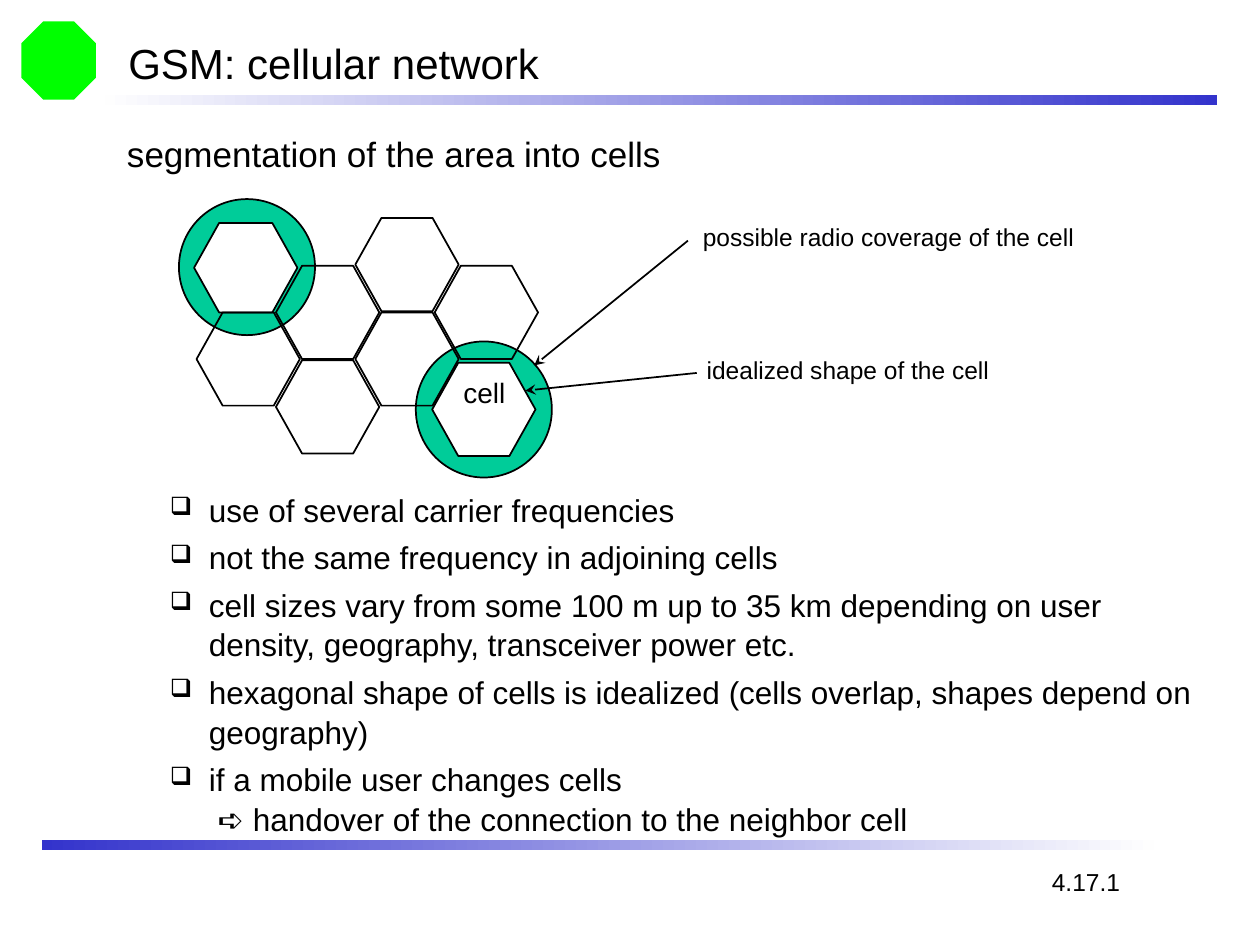
from dataclasses import dataclass

from lxml import etree
from pptx import Presentation
from pptx.dml.color import RGBColor
from pptx.enum.shapes import MSO_CONNECTOR, MSO_SHAPE
from pptx.enum.text import MSO_ANCHOR, PP_ALIGN
from pptx.oxml.ns import qn
from pptx.util import Inches, Pt


@dataclass(frozen=True)
class Theme:
    font: str = "Arial"
    ink: str = "000000"
    paper: str = "FFFFFF"
    coverage: str = "00CC99"
    emblem: str = "00FF00"
    bar: str = "3333CC"
    bar_end: str = "FEFEFE"
    title: int = 24
    heading: int = 20
    body: int = 18
    cell: int = 16
    label: int = 14


THEME = Theme()

BULLETS = [
    "use of several carrier frequencies",
    "not the same frequency in adjoining cells",
    "cell sizes vary from some 100 m up to 35 km depending on user density, "
    "geography, transceiver power etc.",
    "hexagonal shape of cells is idealized (cells overlap, shapes depend on geography)",
    "if a mobile user changes cells\n ➪ handover of the connection to the neighbor cell",
]


def rgb(code):
    return RGBColor.from_string(code)


def inches(box):
    return [Inches(value) for value in box]


def add_span(para, text, size):
    span = para.add_run()
    span.text = text
    span.font.name = THEME.font
    span.font.size = Pt(size)
    span.font.color.rgb = rgb(THEME.ink)


def add_frame(page, box, wrap=True):
    frame = page.shapes.add_textbox(*inches(box)).text_frame
    frame.word_wrap = wrap
    return frame


def add_text(page, box, text, size, wrap=True, align=PP_ALIGN.LEFT, anchor=MSO_ANCHOR.TOP):
    frame = add_frame(page, box, wrap)
    frame.vertical_anchor = anchor
    para = frame.paragraphs[0]
    para.alignment = align
    add_span(para, text, size)


def add_shape(page, kind, box, fill=None, outlined=True):
    shape = page.shapes.add_shape(kind, *inches(box))
    shape.shadow.inherit = False
    if fill:
        shape.fill.solid()
        shape.fill.fore_color.rgb = rgb(fill)
    else:
        shape.fill.background()
    if outlined:
        shape.line.color.rgb = rgb(THEME.ink)
        shape.line.width = Pt(1)
    else:
        shape.line.fill.background()
    return shape


def add_hexagon(page, box, fill=None):
    hexagon = add_shape(page, MSO_SHAPE.HEXAGON, box, fill)
    hexagon.adjustments[0] = 0.28


def add_bar(page, box, colors):
    """Draw a bar that fades from the first colour to the second, left to right."""
    bar = add_shape(page, MSO_SHAPE.RECTANGLE, box, outlined=False)
    bar.fill.gradient()
    bar.fill.gradient_angle = 0
    for stop, color in zip(bar.fill.gradient_stops, colors):
        stop.color.rgb = rgb(color)


def add_arrow(page, start, end):
    arrow = page.shapes.add_connector(MSO_CONNECTOR.STRAIGHT, *inches(start + end))
    arrow.line.color.rgb = rgb(THEME.ink)
    arrow.line.width = Pt(1)
    etree.SubElement(arrow.line._get_or_add_ln(), qn("a:tailEnd"), type="stealth")
    etree.SubElement(arrow._element.spPr, qn("a:effectLst"))


def add_header(page, left, top, width):
    add_shape(page, MSO_SHAPE.OCTAGON, (left, top, 0.59, 0.62), THEME.emblem, outlined=False)
    add_bar(page, (left + 0.66, top + 0.58, width - 0.66, 0.08), (THEME.bar_end, THEME.bar))
    add_text(page, (left + 0.75, top + 0.08, 8.5, 0.5), "GSM: cellular network",
             THEME.title, anchor=MSO_ANCHOR.MIDDLE)


def add_cell_grid(page, left, top):
    """Draw the honeycomb, with the radio coverage behind its two corner cells."""
    width, height = 0.82, 0.74
    column_step, row_step, odd_drop = 0.63, 0.75, 0.38
    circle = 1.08

    add_shape(page, MSO_SHAPE.OVAL, (left + 1.74, top + 0.98, circle, circle), THEME.coverage)
    add_hexagon(page, (left + 1.87, top + 1.15, width, height), THEME.paper)
    add_text(page, (left + 1.92, top + 1.2, 0.73, 0.37), "cell", THEME.cell,
             align=PP_ALIGN.CENTER)
    add_shape(page, MSO_SHAPE.OVAL, (left - 0.14, top - 0.15, circle, circle), THEME.coverage)
    add_hexagon(page, (left - 0.02, top + 0.04, width, 0.71), THEME.paper)

    for column, row in [(1, 0), (0, 1), (2, 0), (2, 1), (3, 0), (1, 1)]:
        x = left + column * column_step
        y = top + row * row_step + column % 2 * odd_drop
        add_hexagon(page, (x, y, width, height))


def add_callouts(page, left, top):
    add_text(page, (left, top, 3.81, 0.33), "possible radio coverage of the cell", THEME.label)
    add_arrow(page, (left - 0.02, top + 0.2), (4.24, 2.9))
    add_text(page, (left + 0.03, top + 1.06, 4.21, 0.33), "idealized shape of the cell",
             THEME.label)
    add_arrow(page, (left + 0.05, top + 1.25), (4.17, 3.1))


def add_bullets(page, box, items):
    frame = add_frame(page, box)
    for index, item in enumerate(items):
        para = frame.paragraphs[0] if index == 0 else frame.add_paragraph()
        para.line_spacing = 1.05
        if index:
            para.space_before = Pt(4.5)
        props = para._p.get_or_add_pPr()
        props.set("marL", str(Inches(0.81)))
        props.set("indent", str(Inches(-0.31)))
        color = etree.SubElement(props, qn("a:buClr"))
        etree.SubElement(color, qn("a:srgbClr"), val=THEME.ink)
        etree.SubElement(props, qn("a:buSzPct"), val="80000")
        etree.SubElement(props, qn("a:buChar"), char="❑")
        for number, line in enumerate(item.split("\n")):
            if number:
                para.add_line_break()
            add_span(para, line, THEME.body)


def add_footer(page, left, top, width):
    add_bar(page, (left, top, width, 0.08), (THEME.bar, THEME.bar_end))
    add_text(page, (left + 7.92, top + 0.16, 0.74, 0.34), "4.17.1", THEME.label, wrap=False)


def main():
    deck = Presentation()
    deck.slide_width, deck.slide_height = Inches(10), Inches(7.5)
    page = deck.slides.add_slide(deck.slide_layouts[6])
    add_header(page, 0.17, 0.17, 9.49)
    add_text(page, (0.91, 1, 4.44, 0.44), "segmentation of the area into cells",
             THEME.heading, wrap=False)
    add_cell_grid(page, 1.56, 1.73)
    add_callouts(page, 5.48, 1.71)
    add_bullets(page, (0.75, 3.83, 8.92, 2.83), BULLETS)
    add_footer(page, 0.33, 6.67, 8.83)
    deck.save("out.pptx")


if __name__ == "__main__":
    main()
